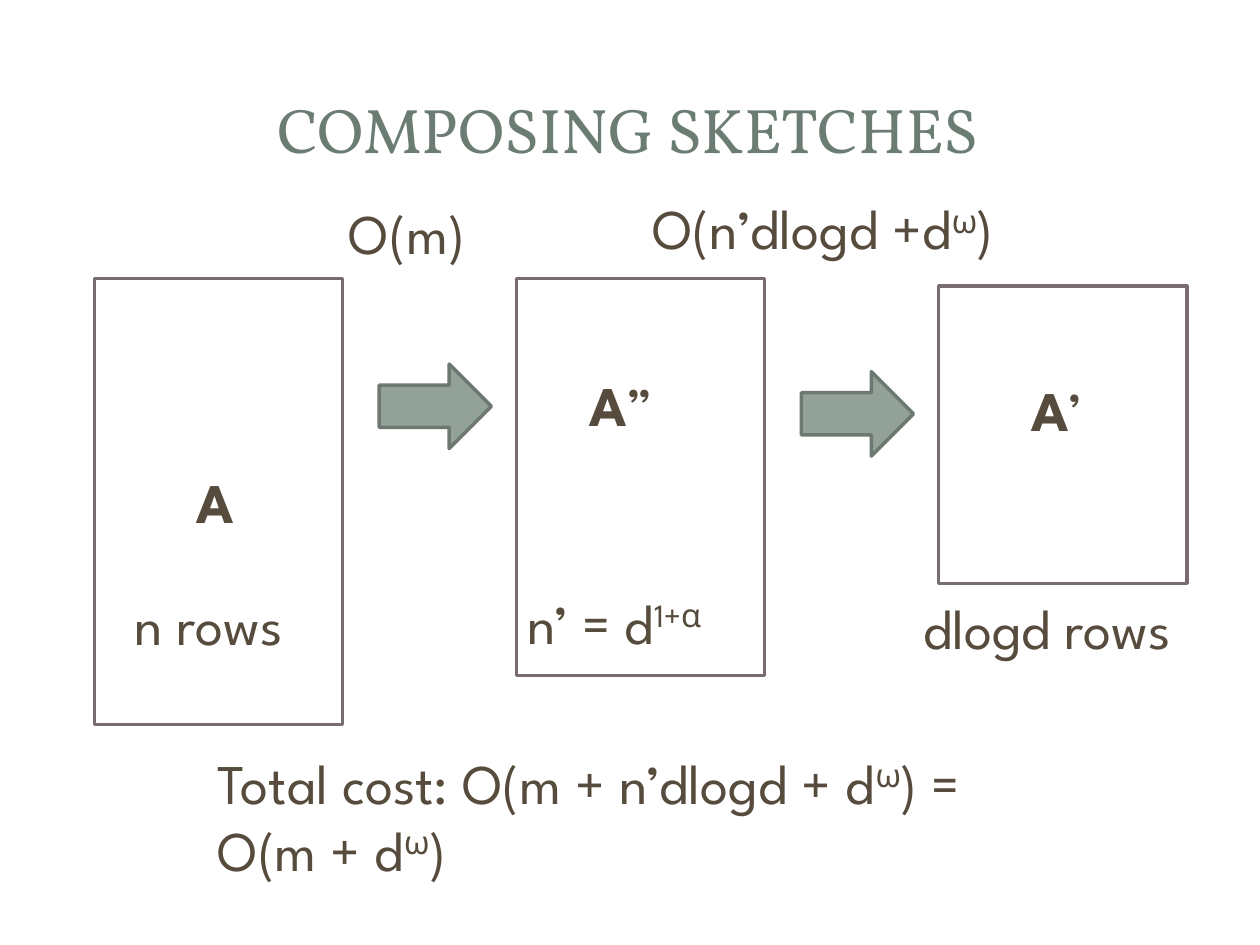
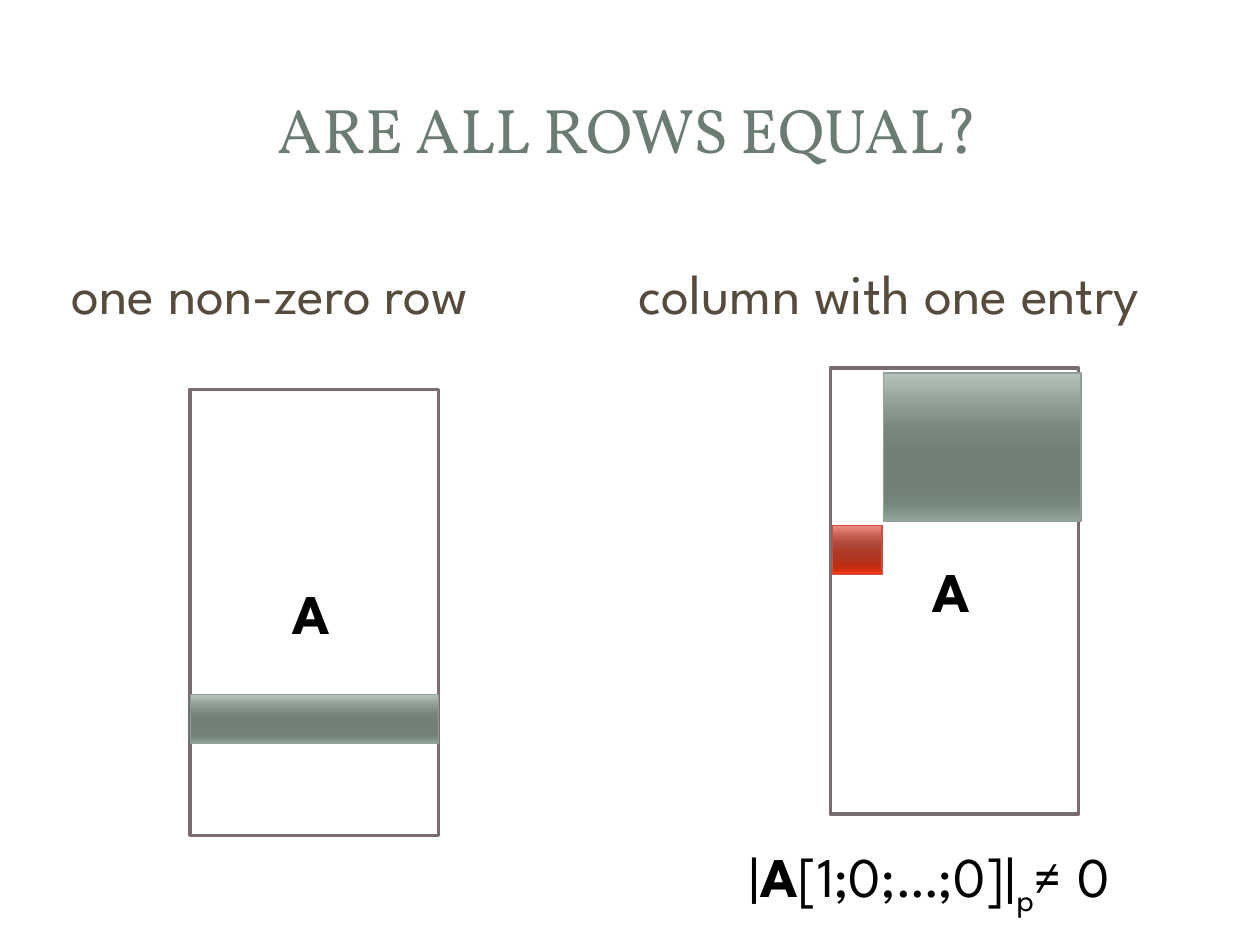
from dataclasses import dataclass

import lxml.etree
import pptx
import pptx.dml.color
import pptx.enum.shapes
import pptx.enum.text
import pptx.oxml.ns
import pptx.util

Inches = pptx.util.Inches
Pt = pptx.util.Pt
RGBColor = pptx.dml.color.RGBColor
Shape = pptx.enum.shapes.MSO_SHAPE


@dataclass(frozen=True)
class Theme:
    title_font: str = "Vollkorn"
    body_font: str = "League Spartan"
    title_size: int = 36
    body_size: int = 32
    background: str = "FFFFFF"
    title: str = "6B7D72"
    body: str = "564B3C"
    black: str = "000000"
    outline: str = "786C71"
    outline_width: float = 2
    arrow: str = "93A299"
    arrow_line: str = "6D7871"
    block_line_width: float = 0.75
    green_line: str = "8F9F96"
    red_line: str = "CE503A"
    stops: tuple = (0, 25, 38, 55, 80, 88, 100)
    green: tuple = ("B6C3BB", "8B9890", "79867E", "728078", "708176", "75887C", "91A79A")
    red: tuple = ("EF8E85", "C1584A", "B04839", "AD3A26", "BA2F18", "CD2C10", "F63D1F")


@dataclass(frozen=True)
class Span:
    text: str
    bold: bool = False
    baseline: int = 0


THEME = Theme()
MATRIX_WIDTH = 1.97
MATRIX_HEIGHT = 3.54
LABEL_HEIGHT = 0.64
OMEGA = Span("ω", baseline=30)
BOLD_A = Span("A", bold=True)


def add_text(page, left, top, width, height, spans, color=THEME.body,
             font=THEME.body_font, size=THEME.body_size):
    """Add one wrapped paragraph; spans are plain strings or Span objects."""
    box = page.shapes.add_textbox(Inches(left), Inches(top), Inches(width), Inches(height))
    box.text_frame.word_wrap = True
    para = box.text_frame.paragraphs[0]
    para.font.name = font
    para.font.size = Pt(size)
    para.font.color.rgb = RGBColor.from_string(color)
    for item in spans:
        part = item if isinstance(item, Span) else Span(item)
        span = para.add_run()
        span.text = part.text
        if part.bold:
            span.font.bold = True
        if part.baseline:
            span._r.get_or_add_rPr().set("baseline", str(part.baseline * 1000))
    return box


def add_label(page, left, top, width, *spans, color=THEME.body):
    return add_text(page, left, top, width, LABEL_HEIGHT, spans, color)


def add_outlined(page, kind, left, top, width, height, line, line_width):
    shape = page.shapes.add_shape(kind, Inches(left), Inches(top), Inches(width), Inches(height))
    shape.shadow.inherit = False
    shape.line.color.rgb = RGBColor.from_string(line)
    shape.line.width = Pt(line_width)
    return shape


def add_matrix(page, left, top, height=MATRIX_HEIGHT):
    matrix = add_outlined(page, Shape.RECTANGLE, left, top, MATRIX_WIDTH, height,
                          THEME.outline, THEME.outline_width)
    matrix.fill.background()


def add_arrow(page, left, top):
    arrow = add_outlined(page, Shape.RIGHT_ARROW, left, top, 0.89, 0.67,
                         THEME.arrow_line, THEME.outline_width)
    arrow.fill.solid()
    arrow.fill.fore_color.rgb = RGBColor.from_string(THEME.arrow)


def add_block(page, left, top, width, height, colors, line):
    """Add a rectangle shaded from top to bottom."""
    block = add_outlined(page, Shape.RECTANGLE, left, top, width, height,
                         line, THEME.block_line_width)
    block.fill.gradient()
    qn = pptx.oxml.ns.qn
    gradient = block._element.spPr.find(qn("a:gradFill"))
    stop_list = gradient.find(qn("a:gsLst"))
    for stop in list(stop_list):
        stop_list.remove(stop)
    for position, color in zip(THEME.stops, colors):
        stop = lxml.etree.SubElement(stop_list, qn("a:gs"), pos=str(position * 1000))
        lxml.etree.SubElement(stop, qn("a:srgbClr"), val=color)
    gradient.find(qn("a:lin")).set("ang", str(90 * 60000))


def add_page(deck, title):
    page = deck.slides.add_slide(deck.slide_layouts[6])
    page.background.fill.solid()
    page.background.fill.fore_color.rgb = RGBColor.from_string(THEME.background)
    box = add_text(page, 0.47, 0.45, 9.03, 1.14, [title], THEME.title,
                   THEME.title_font, THEME.title_size)
    box.text_frame.vertical_anchor = pptx.enum.text.MSO_ANCHOR.MIDDLE
    box.text_frame.paragraphs[0].alignment = pptx.enum.text.PP_ALIGN.CENTER
    return page


def build_composing_sketches(deck):
    page = add_page(deck, "COMPOSING SKETCHES")
    first_left, pitch, arrow_offset = 0.75, 3.35, 2.26
    for column, (top, height) in enumerate([(2.21, MATRIX_HEIGHT), (2.21, 3.15), (2.27, 2.36)]):
        add_matrix(page, first_left + column * pitch, top, height)
    for column, top in enumerate([2.89, 2.95]):
        add_arrow(page, first_left + arrow_offset + column * pitch, top)

    add_label(page, 1.46, 3.66, 0.54, BOLD_A)
    add_label(page, 4.58, 2.89, 0.95, BOLD_A, "”")
    add_label(page, 8.09, 2.93, 0.82, BOLD_A, "’")

    add_label(page, 0.97, 4.63, 1.59, "n rows")
    add_label(page, 4.09, 4.62, 2.07, "n’ = d", Span("1+α", baseline=30))
    add_label(page, 7.23, 4.66, 2.64, "dlogd rows")

    add_label(page, 2.67, 1.53, 1.42, "O(m)")
    add_label(page, 5.08, 1.49, 3.68, "O(n’dlogd +d", OMEGA, ")")
    total = ["Total cost: O(m + n’dlogd + d", OMEGA, ") = O(m + d", OMEGA, ")"]
    add_text(page, 1.63, 5.89, 6.96, 1.28, total)


def build_row_comparison(deck):
    page = add_page(deck, "ARE ALL ROWS EQUAL?")
    row_left, column_left, entry_size = 1.51, 6.59, 0.39

    add_label(page, 0.47, 2, 4.12, "one non-zero row")
    add_label(page, 2.22, 4.54, 0.54, BOLD_A, color=THEME.black)
    add_matrix(page, row_left, 3.09)
    add_block(page, row_left, 5.51, MATRIX_WIDTH, entry_size, THEME.green, THEME.green_line)

    add_label(page, 4.97, 2, 5.08, "column with one entry")
    add_label(page, 7.3, 4.37, 0.54, BOLD_A, color=THEME.black)
    add_matrix(page, column_left, 2.92)
    add_block(page, 7.01, 2.96, 1.57, 1.18, THEME.green, THEME.green_line)
    add_block(page, 6.61, 4.17, entry_size, entry_size, THEME.red, THEME.red_line)
    add_label(page, 5.85, 6.63, 3.89, "|", BOLD_A, "[1;0;…;0]|",
              Span("p", baseline=-25), "≠ 0", color=THEME.black)


def main():
    deck = pptx.Presentation()
    deck.slide_width = Inches(10)
    deck.slide_height = Inches(7.5)
    build_composing_sketches(deck)
    build_row_comparison(deck)
    deck.save("out.pptx")


if __name__ == "__main__":
    main()
